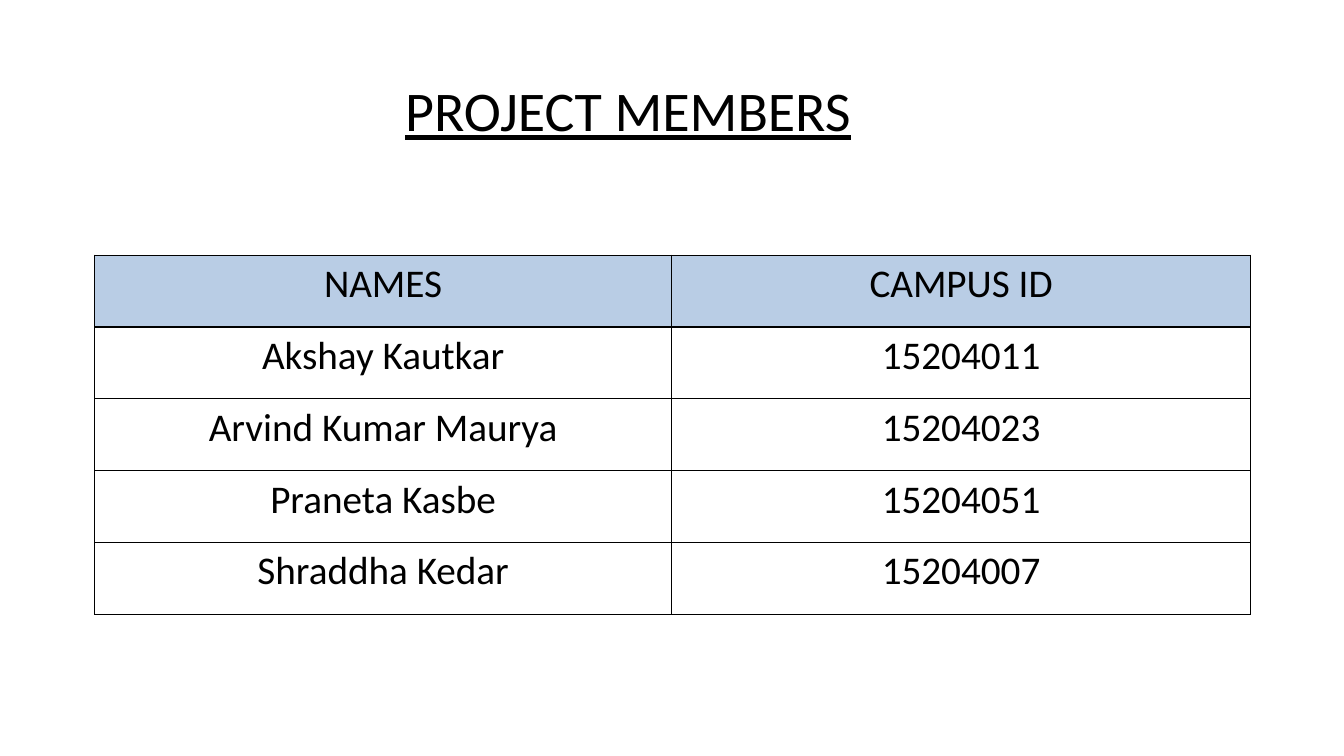
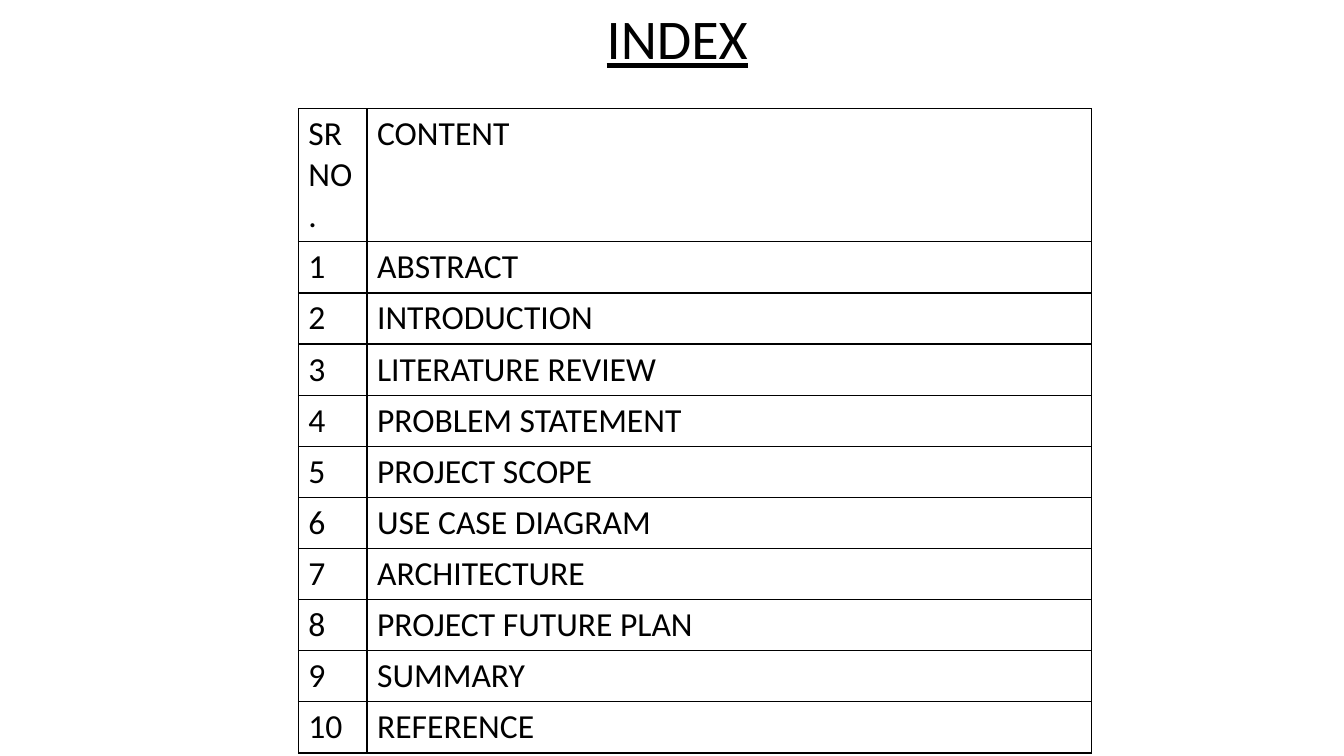
from lxml import etree
from pptx import Presentation
from pptx.dml.color import RGBColor
from pptx.enum.text import MSO_ANCHOR, MSO_AUTO_SIZE, PP_ALIGN
from pptx.oxml.ns import qn
from pptx.util import Cm, Pt

LEFT, CENTER = PP_ALIGN.LEFT, PP_ALIGN.CENTER
MIDDLE = MSO_ANCHOR.MIDDLE
NO_AUTOFIT = MSO_AUTO_SIZE.NONE
BLACK = RGBColor(0x00, 0x00, 0x00)
HEADER_BLUE = RGBColor(0xB9, 0xCD, 0xE5)
FONT = "Calibri"
TITLE_SIZE = Pt(40)
BORDER_WIDTH = Pt(1)
TITLE_ONLY = 5

members = [
    ("NAMES", "CAMPUS ID"),
    ("Akshay Kautkar", "15204011"),
    ("Arvind Kumar Maurya", "15204023"),
    ("Praneta Kasbe", "15204051"),
    ("Shraddha Kedar", "15204007"),
]
topics = [
    "ABSTRACT", "INTRODUCTION", "LITERATURE REVIEW", "PROBLEM STATEMENT",
    "PROJECT SCOPE", "USE CASE DIAGRAM", "ARCHITECTURE",
    "PROJECT FUTURE PLAN", "SUMMARY", "REFERENCE",
]
index = [("SR NO.", "CONTENT")]
index += [(str(number), topic) for number, topic in enumerate(topics, 1)]

# Lengths in centimetres
pages = [
    dict(title="PROJECT MEMBERS", title_top=1.02, title_height=3.68,
         title_indent=7.87, rows=members, left=2.39, top=6.43,
         columns=(14.53, 14.6), row_height=1.81, size=28, align=CENTER,
         header_fill=HEADER_BLUE),
    dict(title="INDEX", title_top=-0.25, title_height=2.59,
         title_indent=12.95, rows=index, left=7.52, top=2.74,
         columns=(1.73, 18.26), row_height=1.27, size=24, align=LEFT,
         header_fill=None),
]


def add_text(paragraph, text, size, underline=False):
    run = paragraph.add_run()
    run.text = text
    run.font.name = FONT
    run.font.size = size
    run.font.underline = underline
    run.font.color.rgb = BLACK


def add_borders(cell):
    properties = cell._tc.get_or_add_tcPr()
    for side in ("a:lnL", "a:lnR", "a:lnT", "a:lnB"):
        line = etree.SubElement(properties, qn(side), w=str(BORDER_WIDTH))
        fill = etree.SubElement(line, qn("a:solidFill"))
        etree.SubElement(fill, qn("a:srgbClr"), val=str(BLACK))


presentation = Presentation()
presentation.slide_width = Cm(33.87)
presentation.slide_height = Cm(19.05)

for page in pages:
    slide = presentation.slides.add_slide(presentation.slide_layouts[TITLE_ONLY])

    # Underlined title, indented from the left
    title = slide.shapes.title
    title.left, title.top = Cm(2.34), Cm(page["title_top"])
    title.width, title.height = Cm(29.21), Cm(page["title_height"])
    heading = title.text_frame
    heading.auto_size = NO_AUTOFIT
    heading.word_wrap = True
    heading.vertical_anchor = MIDDLE
    heading.margin_left = Cm(page["title_indent"])
    heading.paragraphs[0].alignment = LEFT
    heading.paragraphs[0].line_spacing = 0.9
    add_text(heading.paragraphs[0], page["title"], TITLE_SIZE, underline=True)

    # Bordered table
    rows, columns = page["rows"], page["columns"]
    table = slide.shapes.add_table(
        len(rows), len(columns), Cm(page["left"]), Cm(page["top"]),
        Cm(sum(columns)), Cm(page["row_height"] * len(rows))).table
    table.first_row = False
    table.horz_banding = False
    for column, width in zip(table.columns, columns):
        column.width = Cm(width)
    for row_number, entries in enumerate(rows):
        table.rows[row_number].height = Cm(page["row_height"])
        for column_number, entry in enumerate(entries):
            cell = table.cell(row_number, column_number)
            add_borders(cell)
            if row_number == 0 and page["header_fill"]:
                cell.fill.solid()
                cell.fill.fore_color.rgb = page["header_fill"]
            else:
                cell.fill.background()
            paragraph = cell.text_frame.paragraphs[0]
            paragraph.alignment = page["align"]
            add_text(paragraph, entry, Pt(page["size"]))

presentation.save("out.pptx")
